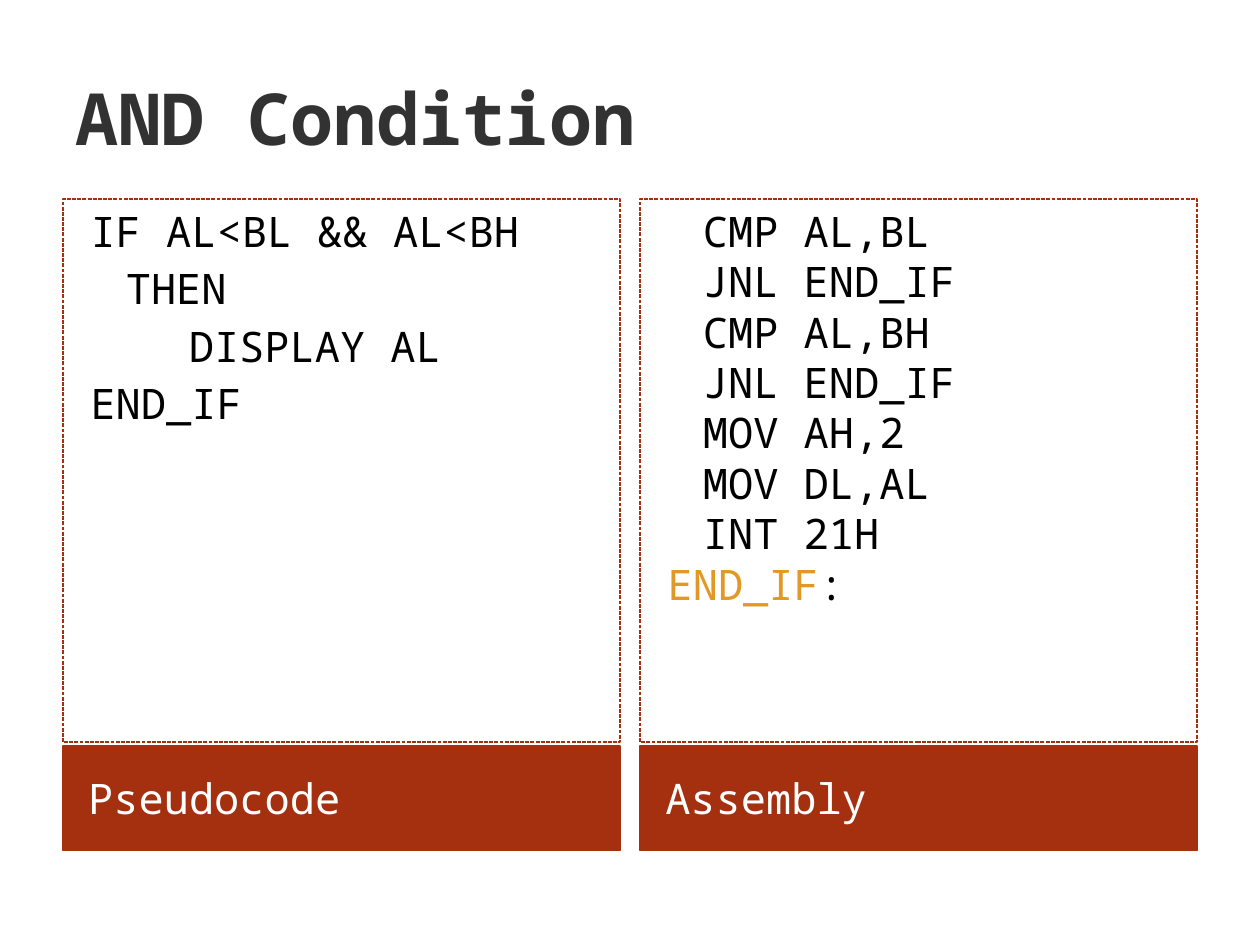
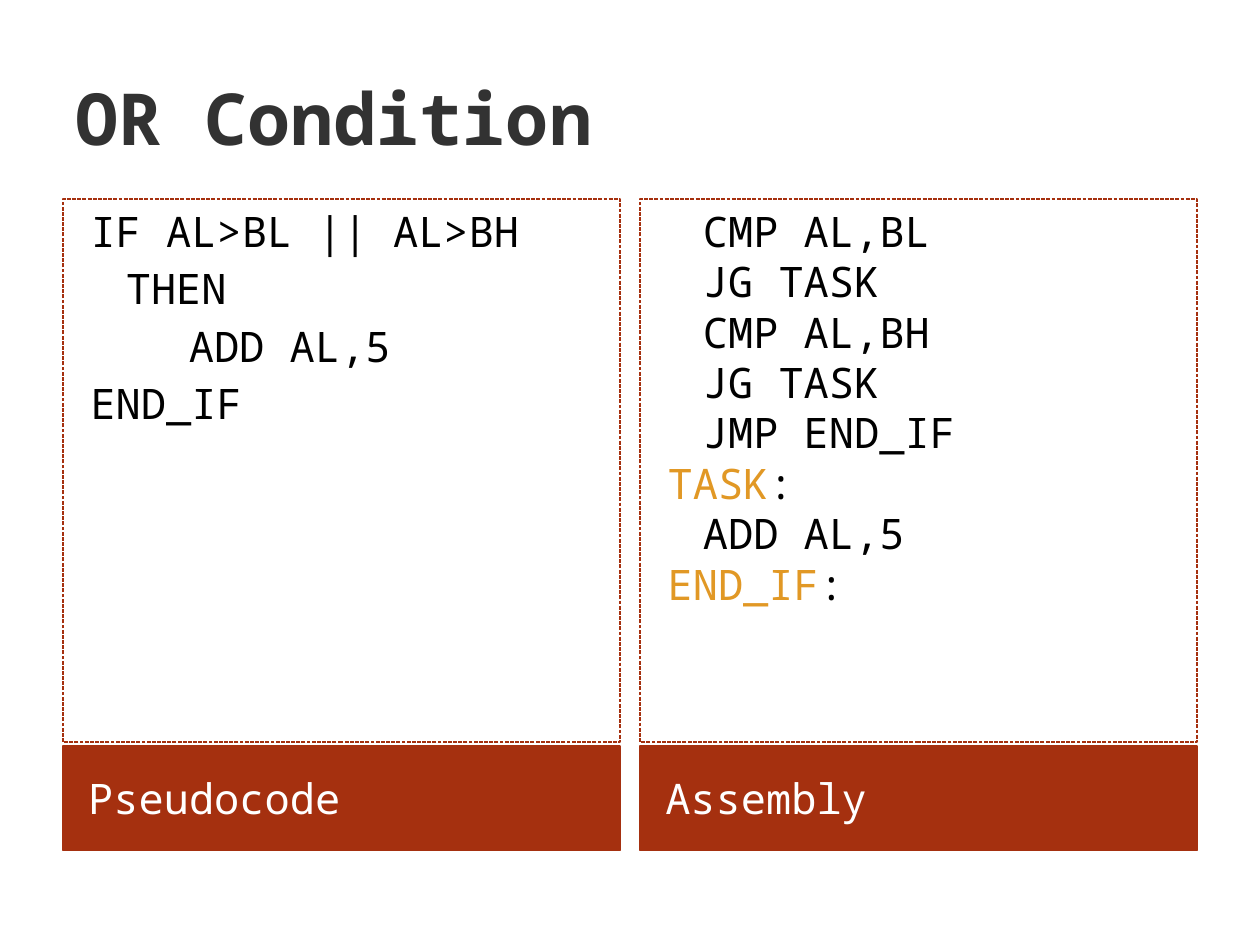
"""Builds two slides that compare pseudocode with assembly for AND and OR conditions."""
from pptx import Presentation
from pptx.dml.color import RGBColor
from pptx.enum.dml import MSO_LINE
from pptx.enum.shapes import MSO_SHAPE
from pptx.enum.text import MSO_ANCHOR, PP_ALIGN
from pptx.util import Inches, Pt

FONT = "Noto Sans Mono"
COLORS = {"title": "323232", "band": "A5300F", "caption": "FFFFFF",
          "code": "000000", "label": "E19825"}
MARGIN, COLUMN_WIDTH, COLUMN_STEP = 0.5, 4.42, 4.58
CODE_TOP, CODE_HEIGHT = 1.58, 4.31
BAND_TOP, BAND_HEIGHT = 5.92, 0.83

CONDITIONS = [
    ("AND Condition", {
        "Pseudocode": ["IF AL<BL && AL<BH", "\tTHEN", "\t\tDISPLAY AL", "END_IF"],
        "Assembly": ["\tCMP AL,BL", "\tJNL END_IF", "\tCMP AL,BH", "\tJNL END_IF",
                     "\tMOV AH,2", "\tMOV DL,AL", "\tINT 21H", "END_IF:"],
    }),
    ("OR Condition", {
        "Pseudocode": ["IF AL>BL || AL>BH", "\tTHEN", "\t\tADD AL,5", "END_IF"],
        "Assembly": ["\tCMP AL,BL", "\tJG TASK", "\tCMP AL,BH", "\tJG TASK",
                     "\tJMP END_IF", "TASK:", "\tADD AL,5", "END_IF:"],
    }),
]
SPACE_BEFORE = {"Pseudocode": Pt(4), "Assembly": Pt(0)}


def style_run(run, color, size=24, bold=False):
    run.font.name = FONT
    run.font.size = Pt(size)
    run.font.bold = bold
    run.font.color.rgb = RGBColor.from_string(COLORS[color])


def add_panel(slide, left, top, height, anchor):
    panel = slide.shapes.add_shape(MSO_SHAPE.RECTANGLE, Inches(left), Inches(top),
                                   Inches(COLUMN_WIDTH), Inches(height))
    panel.shadow.inherit = False
    panel.line.color.rgb = RGBColor.from_string(COLORS["band"])
    panel.line.width = Pt(0.75)
    panel.text_frame.word_wrap = True
    panel.text_frame.vertical_anchor = anchor
    return panel


prs = Presentation()
prs.slide_width, prs.slide_height = Inches(10), Inches(7.5)

for heading, columns in CONDITIONS:
    slide = prs.slides.add_slide(prs.slide_layouts[5])
    title = slide.shapes.title
    title.left, title.top = Inches(MARGIN), Inches(0.3)
    title.width, title.height = Inches(9), Inches(1.25)
    title.text_frame.text = heading
    title.text_frame.vertical_anchor = MSO_ANCHOR.MIDDLE
    title.text_frame.paragraphs[0].alignment = PP_ALIGN.LEFT
    style_run(title.text_frame.paragraphs[0].runs[0], "title", 41, True)

    for column, (language, code_lines) in enumerate(columns.items()):
        left = MARGIN + column * COLUMN_STEP

        band = add_panel(slide, left, BAND_TOP, BAND_HEIGHT, MSO_ANCHOR.MIDDLE)
        band.fill.solid()
        band.fill.fore_color.rgb = RGBColor.from_string(COLORS["band"])
        band.text_frame.margin_left = Inches(0.2)
        band.text_frame.text = language
        caption = band.text_frame.paragraphs[0]
        caption.alignment = PP_ALIGN.LEFT
        caption.space_before = Pt(4)
        style_run(caption.runs[0], "caption")

        listing = add_panel(slide, left, CODE_TOP, CODE_HEIGHT, MSO_ANCHOR.TOP)
        listing.fill.background()
        listing.line.dash_style = MSO_LINE.SQUARE_DOT
        listing.text_frame.text = "\n".join(code_lines)
        for paragraph in listing.text_frame.paragraphs:
            paragraph.alignment = PP_ALIGN.LEFT
            paragraph.space_before = SPACE_BEFORE[language]
            indent = paragraph._p.get_or_add_pPr()
            indent.set("marL", str(Inches(0.4)))
            indent.set("indent", str(Inches(-0.28)))
            run = paragraph.runs[0]
            if run.text.endswith(":"):
                run.text = run.text[:-1]
                style_run(run, "label")
                run = paragraph.add_run()
                run.text = ":"
            style_run(run, "code")

prs.save("out.pptx")
